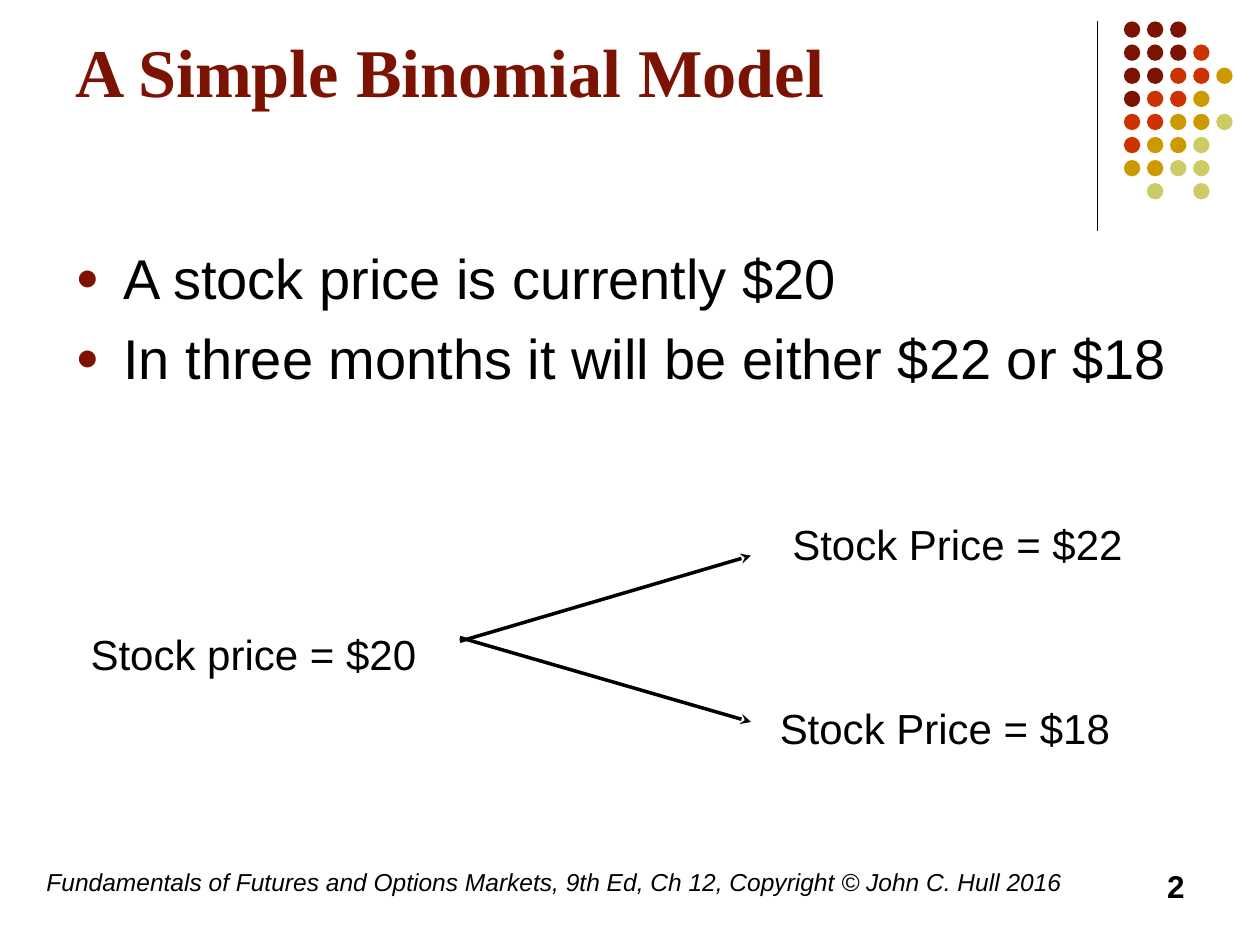
from lxml import etree
from pptx import Presentation
from pptx.dml.color import RGBColor
from pptx.enum.shapes import MSO_CONNECTOR, MSO_SHAPE
from pptx.enum.text import MSO_ANCHOR, MSO_AUTO_SIZE, PP_ALIGN
from pptx.oxml.ns import qn
from pptx.util import Inches, Pt

STRAIGHT = MSO_CONNECTOR.STRAIGHT
OVAL = MSO_SHAPE.OVAL
TOP = MSO_ANCHOR.TOP
NO_FIT = MSO_AUTO_SIZE.NONE
LEFT, RIGHT = PP_ALIGN.LEFT, PP_ALIGN.RIGHT

BLACK, MAROON = "000000", "7C1302"
DOT_COLORS = {"m": MAROON, "r": "CC3300", "g": "CC9900", "y": "CCCC66"}
DOT_ROWS = ["mmm", "mmmr", "mmrrg", "mrrg", "rrggy", "rggy", "ggyy", " y y"]
DOT_SIZE, DOT_PITCH = 0.13, 0.55 / 3


def rgb(value):
    return RGBColor.from_string(value)


class BinomialSlide:
    heading_font = "Times New Roman"
    text_font = "Arial"

    def __init__(self, slide):
        self.slide = slide

    def place(self, shape, left, top, width, height):
        shape.left, shape.top = Inches(left), Inches(top)
        shape.width, shape.height = Inches(width), Inches(height)
        frame = shape.text_frame
        frame.word_wrap = True
        frame.auto_size = NO_FIT
        frame.vertical_anchor = TOP
        return frame

    def style(self, paragraph, size, color=BLACK, font=None, bold=False, italic=False, align=LEFT):
        paragraph.alignment = align
        for run in paragraph.runs:
            run.font.name = font or self.text_font
            run.font.size = Pt(size)
            run.font.bold = bold
            run.font.italic = italic
            run.font.color.rgb = rgb(color)

    def title(self, text, box):
        frame = self.place(self.slide.shapes.title, *box)
        frame.margin_top = Inches(0.1)
        frame.text = text
        self.style(frame.paragraphs[0], 39, MAROON, self.heading_font, bold=True)

    def bullets(self, items, box):
        frame = self.place(self.slide.placeholders[1], *box)
        frame.text = "\n".join(items)
        for index, paragraph in enumerate(frame.paragraphs):
            properties = paragraph._p.get_or_add_pPr()
            properties.set("marL", str(Inches(0.38)))
            properties.set("indent", str(-Inches(0.38)))
            color = etree.SubElement(properties, qn("a:buClr"))
            etree.SubElement(color, qn("a:srgbClr"), val=MAROON)
            etree.SubElement(properties, qn("a:buSzPct"), val="70000")
            etree.SubElement(properties, qn("a:buFont"), typeface=self.text_font)
            etree.SubElement(properties, qn("a:buChar"), char="●")
            paragraph.space_before = Pt(7.5 if index else 0)
            self.style(paragraph, 32)

    def label(self, text, box, size=24, **look):
        frame = self.place(self.slide.shapes.add_textbox(0, 0, 0, 0), *box)
        frame.text = text
        self.style(frame.paragraphs[0], size, **look)

    def line(self, start, end, width, arrow=False):
        points = [Inches(value) for value in (*start, *end)]
        connector = self.slide.shapes.add_connector(STRAIGHT, *points)
        connector.line.color.rgb = rgb(BLACK)
        connector.line.width = Pt(width)
        if arrow:
            etree.SubElement(connector.line._get_or_add_ln(), qn("a:tailEnd"), type="stealth")
        etree.SubElement(connector._element.spPr, qn("a:effectLst"))

    def dot(self, left, top, color):
        size = Inches(DOT_SIZE)
        oval = self.slide.shapes.add_shape(OVAL, Inches(left), Inches(top), size, size)
        oval.shadow.inherit = False
        oval.fill.solid()
        oval.fill.fore_color.rgb = rgb(color)
        oval.line.fill.background()

    def dot_pattern(self, left, top):
        for row, keys in enumerate(DOT_ROWS):
            for column, key in enumerate(keys):
                if key in DOT_COLORS:
                    self.dot(left + column * DOT_PITCH, top + row * DOT_PITCH, DOT_COLORS[key])


def main():
    deck = Presentation()
    deck.slide_width, deck.slide_height = Inches(10), Inches(7.5)
    page = BinomialSlide(deck.slides.add_slide(deck.slide_layouts[1]))

    page.line((8.71, 0.17), (8.71, 1.83), 0.75)
    page.dot_pattern(8.92, 0.17)
    page.title("A Simple Binomial Model", (0.5, 0.13, 8.25, 1.42))
    page.bullets(
        ["A stock price is currently $20", "In three months it will be either $22 or $18"],
        (0.5, 1.88, 9, 4.82),
    )

    page.line((3.65, 5.09), (5.96, 4.41), 2, arrow=True)
    page.line((3.65, 5.06), (5.96, 5.73), 2, arrow=True)
    page.label("Stock Price = $22", (6.19, 4.07, 3.16, 0.9))
    page.label("Stock Price = $18", (6.09, 5.53, 3.62, 0.5))
    page.label("Stock price = $20", (0.62, 4.94, 3.12, 0.5))

    page.label(
        "Fundamentals of Futures and Options Markets, 9th Ed, Ch 12, Copyright © John C. Hull 2016",
        (0.27, 6.83, 8.27, 0.5), size=14, italic=True,
    )
    page.label("2", (7.17, 6.83, 2.33, 0.5), size=18, bold=True, align=RIGHT)
    deck.save("out.pptx")


if __name__ == "__main__":
    main()
